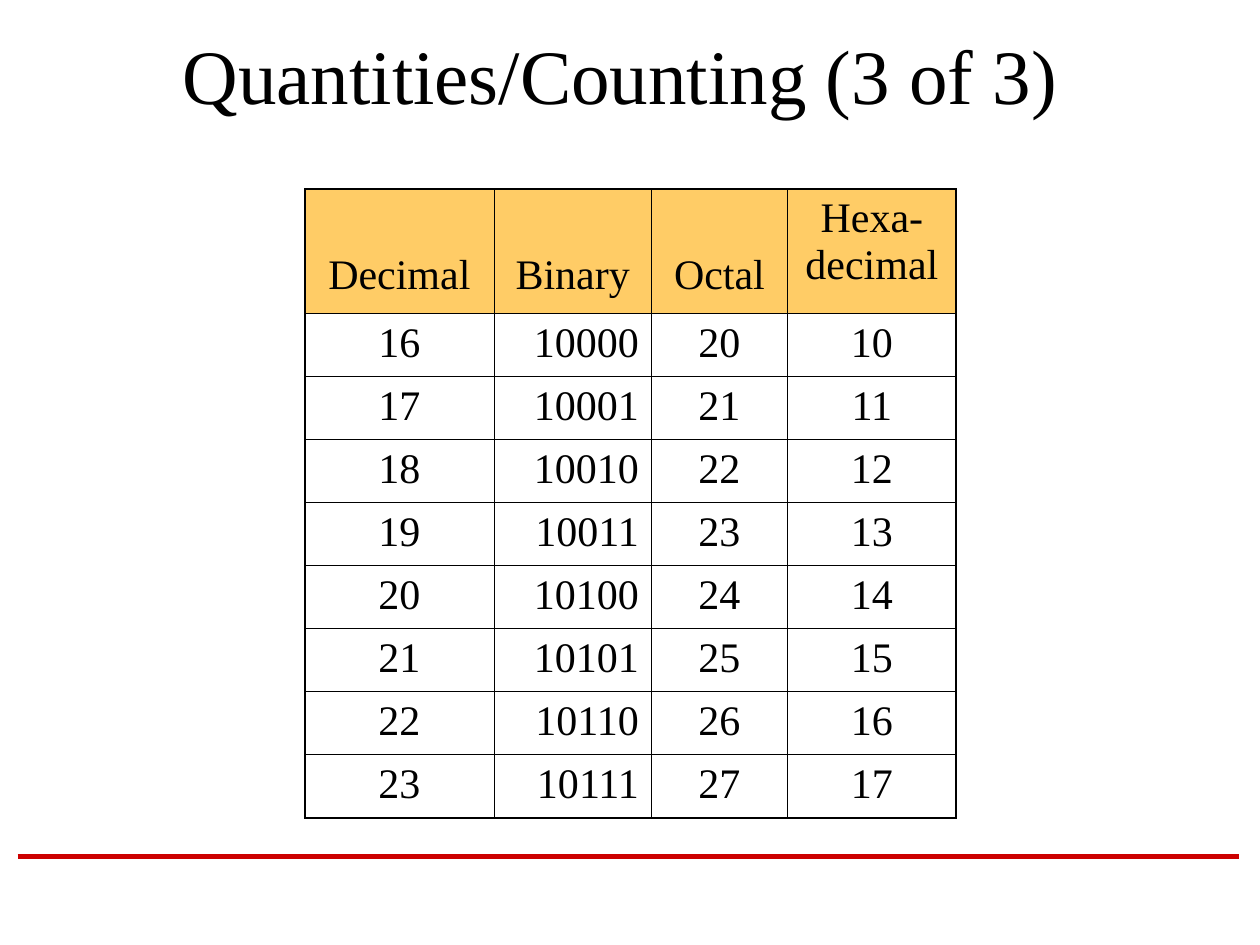
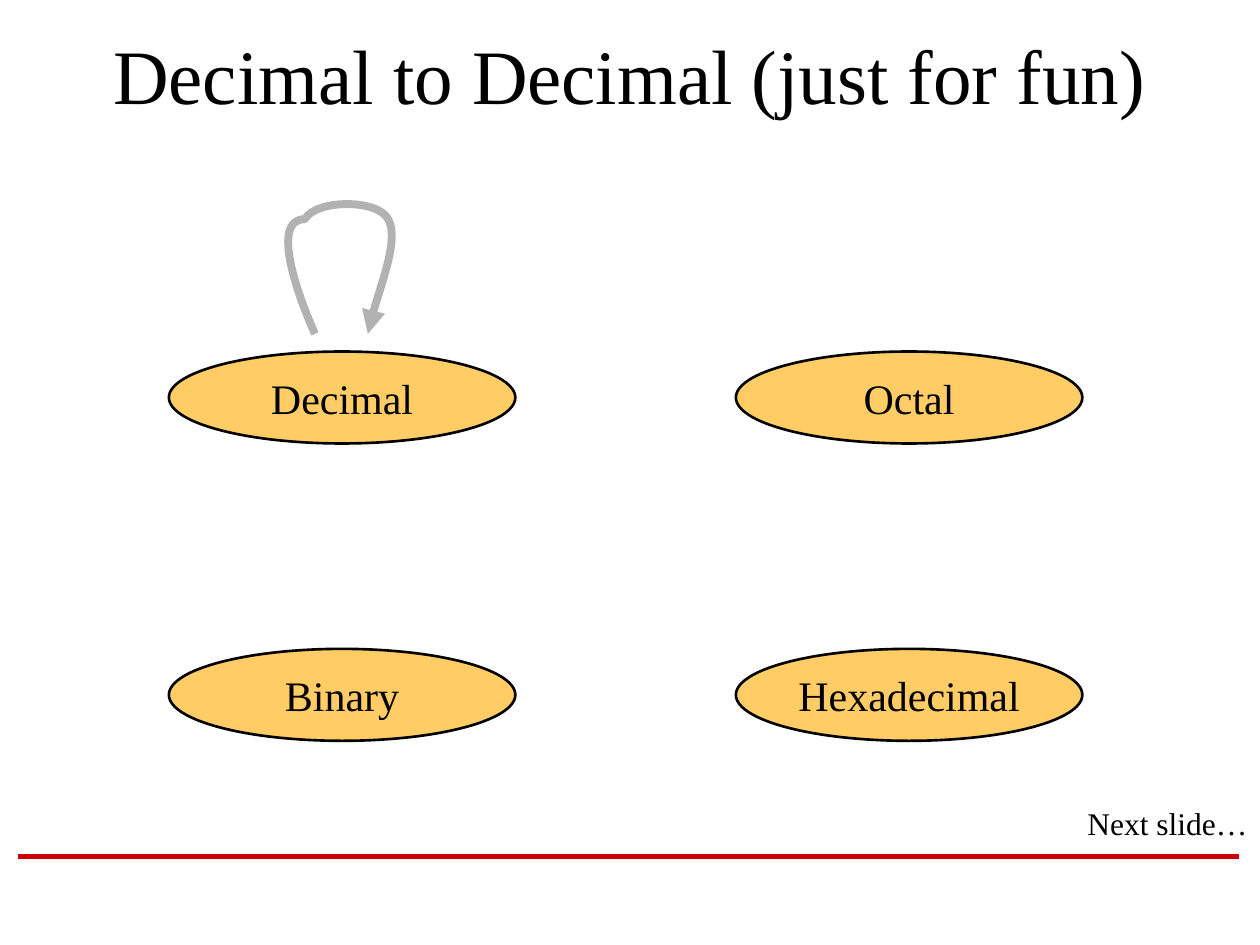
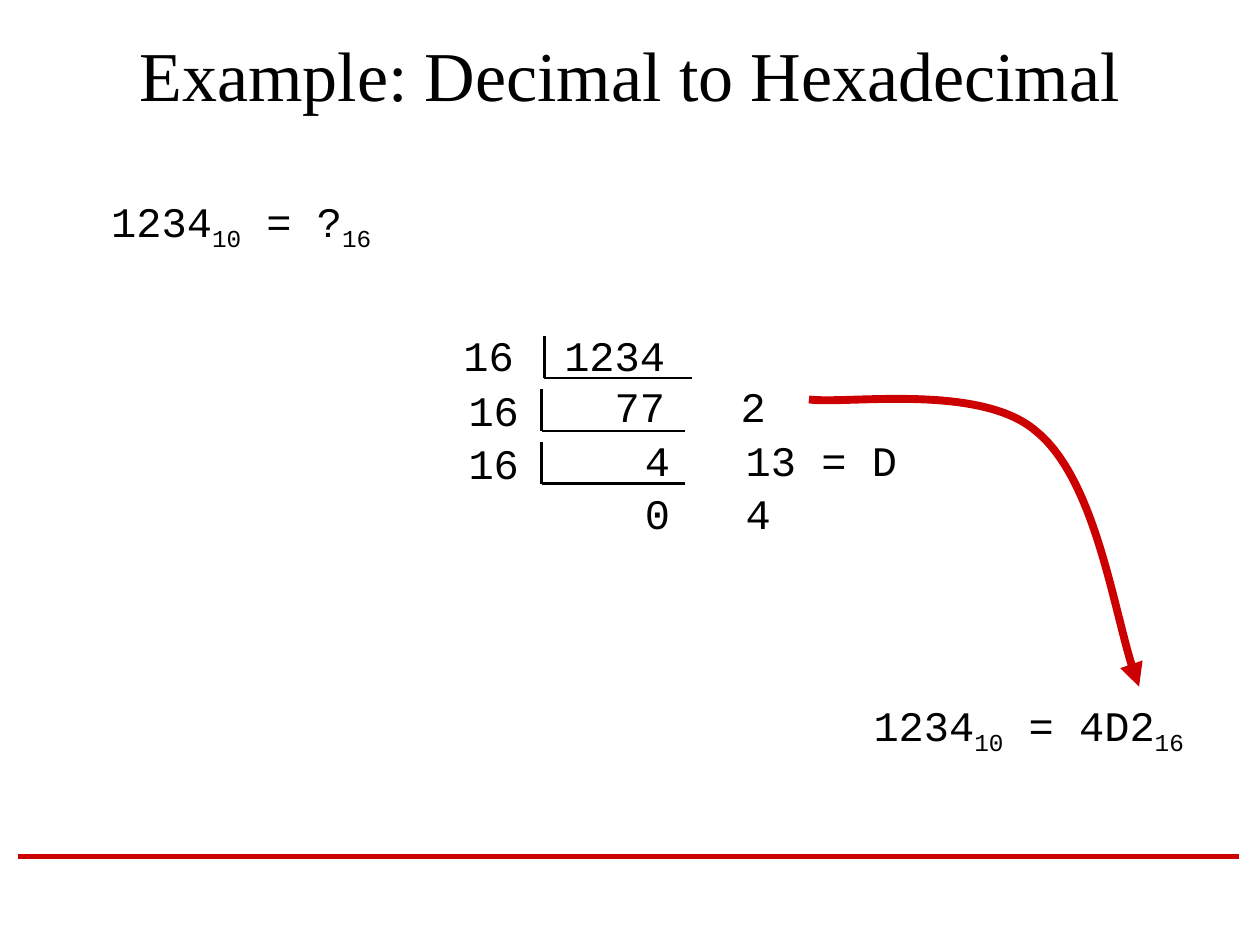
from lxml import etree
from pptx import Presentation
from pptx.dml.color import RGBColor
from pptx.enum.shapes import MSO_CONNECTOR, MSO_SHAPE
from pptx.enum.text import MSO_ANCHOR, MSO_AUTO_SIZE, PP_ALIGN
from pptx.oxml.ns import qn
from pptx.util import Pt

LEFT, CENTER, RIGHT = PP_ALIGN.LEFT, PP_ALIGN.CENTER, PP_ALIGN.RIGHT
TOP, MIDDLE, BOTTOM = MSO_ANCHOR.TOP, MSO_ANCHOR.MIDDLE, MSO_ANCHOR.BOTTOM
NO_AUTOFIT = MSO_AUTO_SIZE.NONE
STRAIGHT = MSO_CONNECTOR.STRAIGHT
OVAL = MSO_SHAPE.OVAL

EMU_PER_PX = 9144  # 100 px to the inch
TITLE_ONLY = 5
COLORS = {"text": "000000", "fill": "FFCC66", "rule": "CC0000", "loop": "B2B2B2"}
SERIF, MONO = "Times New Roman", "Courier New"


def px(length):
    return length * EMU_PER_PX


def color(name):
    return RGBColor.from_string(COLORS[name])


class Deck:
    """Shared style and the slide being drawn."""

    def __init__(self):
        self.presentation = Presentation()
        self.presentation.slide_width = px(1000)
        self.presentation.slide_height = px(750)
        self.slide = None

    def new_slide(self, title, size=44):
        layout = self.presentation.slide_layouts[TITLE_ONLY]
        self.slide = self.presentation.slides.add_slide(layout)
        self.line((14, 680), (983, 680), "rule", 3)
        shape = self.slide.shapes.title
        shape.left, shape.top, shape.width, shape.height = map(px, (75, 17, 850, 83))
        shape.text_frame.text = title
        shape.text_frame.auto_size = NO_AUTOFIT
        self.format(shape.text_frame, size, anchor=MIDDLE)

    def format(self, text_frame, size=24, font=SERIF, align=CENTER, anchor=TOP):
        text_frame.vertical_anchor = anchor
        for paragraph in text_frame.paragraphs:
            paragraph.alignment = align
            for run in paragraph.runs:
                run.font.size = Pt(size)
                run.font.name = font
                run.font.color.rgb = color("text")

    def text_box(self, box, text, size=24, font=SERIF, align=LEFT, tabs=(), wrap=True):
        text_frame = self.slide.shapes.add_textbox(*map(px, box)).text_frame
        text_frame.word_wrap = wrap
        text_frame.text = text
        for paragraph in text_frame.paragraphs:
            if tabs:
                tab_list = etree.SubElement(paragraph._p.get_or_add_pPr(), qn("a:tabLst"))
                for position, side in tabs:
                    etree.SubElement(tab_list, qn("a:tab"), pos=str(px(position)), algn=side)
        self.format(text_frame, size, font, align)
        return text_frame

    def equation(self, box, *terms):
        """Each term is a number followed by its base as a subscript."""
        text_frame = self.text_box(box, "")
        paragraph = text_frame.paragraphs[0]
        for number, base in terms:
            paragraph.add_run().text = number
            subscript = paragraph.add_run()
            subscript.text = base
            subscript._r.get_or_add_rPr().set("baseline", "-25000")
        self.format(text_frame, font=MONO)

    def ellipse(self, box, text):
        shape = self.slide.shapes.add_shape(OVAL, *map(px, box))
        shape.shadow.inherit = False
        shape.fill.solid()
        shape.fill.fore_color.rgb = color("fill")
        shape.line.color.rgb = color("text")
        shape.line.width = Pt(1.5)
        shape.text_frame.word_wrap = False
        shape.text_frame.text = text
        self.format(shape.text_frame, anchor=MIDDLE)

    def line(self, start, end, line_color="text", width=1.5):
        connector = self.slide.shapes.add_connector(STRAIGHT, *map(px, start + end))
        connector.line.color.rgb = color(line_color)
        connector.line.width = Pt(width)
        etree.SubElement(connector._element.spPr, qn("a:effectLst"))

    def curved_arrow(self, points, line_color):
        """Draw cubic curves: a start, then two control points and an end for each."""
        builder = self.slide.shapes.build_freeform(*points[0], scale=EMU_PER_PX)
        builder.add_line_segments(points[1:], close=False)
        shape = builder.convert_to_shape()
        outline = shape._element.find(".//" + qn("a:path"))
        segments = outline.findall(qn("a:lnTo"))
        for first in range(0, len(segments), 3):
            curve = etree.SubElement(outline, qn("a:cubicBezTo"))
            for segment in segments[first:first + 3]:
                curve.append(segment[0])
                outline.remove(segment)
        shape.shadow.inherit = False
        shape.fill.background()
        shape.line.color.rgb = color(line_color)
        shape.line.width = Pt(4.5)
        etree.SubElement(shape.line._get_or_add_ln(), qn("a:tailEnd"), type="triangle")

    def table(self, box, widths, heights, rows, aligns):
        frame = self.slide.shapes.add_table(len(rows), len(widths), *map(px, box))
        table = frame.table
        table.first_row = table.horz_banding = False
        for column, width in zip(table.columns, widths):
            column.width = px(width)
        for row, height in zip(table.rows, heights):
            row.height = px(height)
        last_row, last_column = len(rows) - 1, len(widths) - 1
        for r, values in enumerate(rows):
            for c, value in enumerate(values):
                cell = table.cell(r, c)
                cell.text_frame.text = value
                self.format(cell.text_frame, align=aligns[c] if r else CENTER)
                if r == 0:
                    cell.fill.solid()
                    cell.fill.fore_color.rgb = color("fill")
                    if "\v" not in value:
                        cell.vertical_anchor = BOTTOM
                        cell.margin_bottom = px(12)
                else:
                    cell.fill.background()
                self.borders(cell, {"L": c == 0, "R": c == last_column,
                                    "T": r == 0, "B": r == last_row})

    def borders(self, cell, outer_sides):
        properties = cell._tc.get_or_add_tcPr()
        for index, (side, is_outer) in enumerate(outer_sides.items()):
            width = Pt(1.08 if is_outer else 0.45)
            border = etree.Element(qn("a:ln" + side), w=str(width))
            fill = etree.SubElement(border, qn("a:solidFill"))
            etree.SubElement(fill, qn("a:srgbClr"), val=COLORS["text"])
            properties.insert(index, border)


def counting_slide(deck):
    deck.new_slide("Quantities/Counting (3 of 3) ")
    rows = [["Decimal", "Binary", "Octal", "Hexa-\vdecimal"]]
    rows += [[f"{n}", f"{n:b}", f"{n:o}", f"{n:X}"] for n in range(16, 24)]
    # The counts stay below 24, so octal and hexadecimal are both two digits
    deck.table((242, 150, 517, 498), (150, 125, 108, 134), [99] + [50] * 8,
               rows, (CENTER, RIGHT, CENTER, CENTER))


def conversion_slide(deck):
    deck.new_slide("Decimal to Decimal (just for fun)")
    names = [["Decimal", "Octal"], ["Binary", "Hexadecimal"]]
    for row, pair in enumerate(names):
        for column, name in enumerate(pair):
            deck.ellipse((134 + 450 * column, 279 + 236 * row, 275, 73), name)
    deck.curved_arrow([(250, 265), (250, 265), (208, 174), (242, 174),
                       (251, 158), (300, 158), (308, 174),
                       (317, 189), (295, 246), (292, 265)], "loop")
    deck.text_box((853, 633, 147, 40), "Next slide…", size=18, align=RIGHT, wrap=False)


def example_slide(deck):
    deck.new_slide("Example: Decimal to Hexadecimal", size=40)
    deck.equation((33, 150, 317, 56), ("1234", "10"), (" = ?", "16"))
    deck.equation((658, 550, 317, 56), ("1234", "10"), (" = 4D2", "16"))
    deck.curved_arrow([(642, 317), (672, 321), (778, 304), (822, 342),
                       (868, 379), (887, 503), (904, 545)], "rule")

    # Repeated division: text, left and top of the box, then the bracket
    steps = [("16\t1234\n\t77\t2", 358, 257, 432, 267, 117),
             ("16\n\t4\t13 = D", 362, 300, 430, 309, 114),
             ("16\n\t0\t4", 362, 342, 430, 351, 114)]
    for text, left, top, corner, bracket_top, length in steps:
        deck.text_box((left, top, 388, 90), text, font=MONO,
                      tabs=((160, "r"), (220, "l")))
        bottom = bracket_top + 33
        deck.line((corner, bracket_top), (corner, bottom))
        deck.line((corner, bottom), (corner + length, bottom))


def main():
    deck = Deck()
    counting_slide(deck)
    conversion_slide(deck)
    example_slide(deck)
    deck.presentation.save("out.pptx")


if __name__ == "__main__":
    main()
